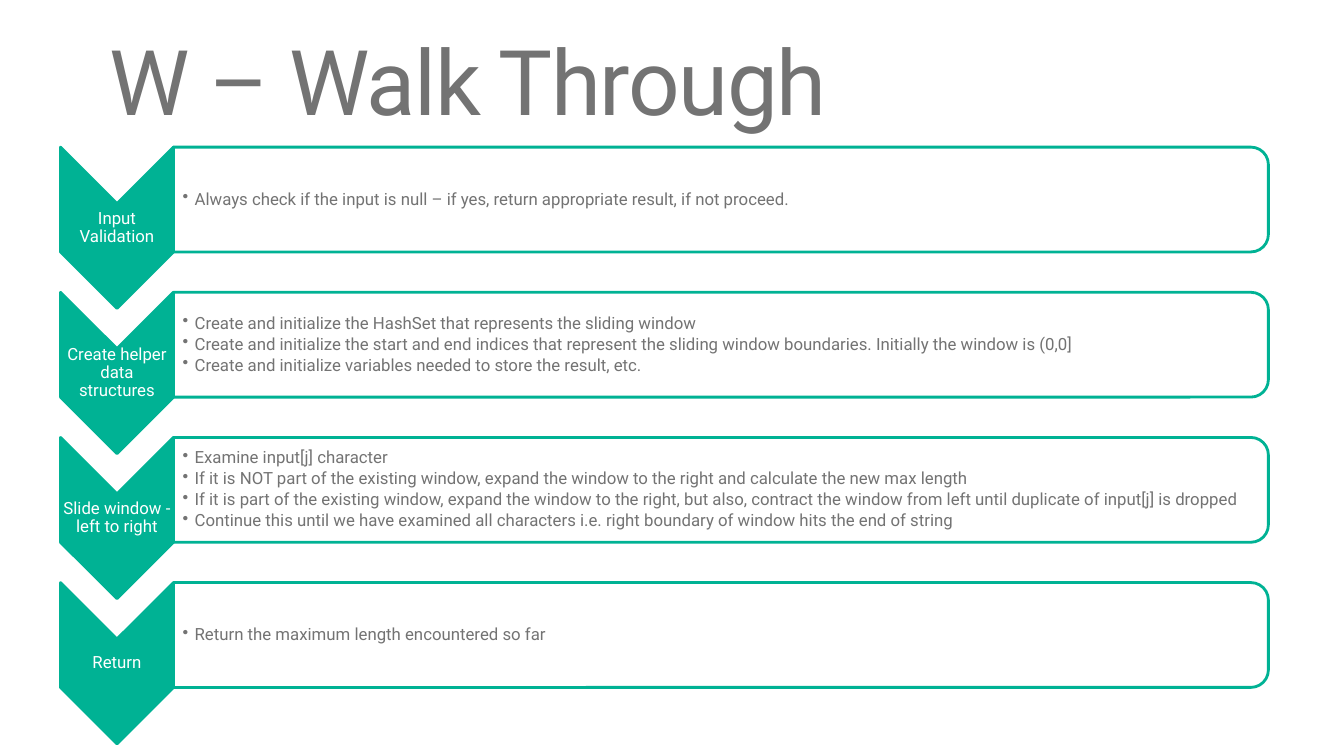
import lxml.etree
import pptx
import pptx.dml.color
import pptx.enum.shapes
import pptx.enum.text
import pptx.oxml.ns
import pptx.util

inch, pt = pptx.util.Inches, pptx.util.Pt
shapes = pptx.enum.shapes.MSO_SHAPE
align, anchor = pptx.enum.text.PP_ALIGN, pptx.enum.text.MSO_ANCHOR
qn = pptx.oxml.ns.qn
rgb = pptx.dml.color.RGBColor.from_string

theme = {
    "font": "Roboto",
    "green": rgb("00B294"),
    "grey": rgb("737373"),
    "white": rgb("FFFFFF"),
    "title": pt(64.7),
    "text": pt(12),
    "line": pt(2),
}

steps = [
    ("Input Validation", [
        "Always check if the input is null – if yes, return appropriate result, if not proceed.",
    ]),
    ("Create helper data structures", [
        "Create and initialize the HashSet that represents the sliding window",
        "Create and initialize the start and end indices that represent the sliding window "
        "boundaries. Initially the window is (0,0]",
        "Create and initialize variables needed to store the result, etc.",
    ]),
    ("Slide window - left to right", [
        "Examine input[j] character",
        "If it is NOT part of the existing window, expand the window to the right "
        "and calculate the new max length",
        "If it is part of the existing window, expand the window to the right, but also, "
        "contract the window from left until duplicate of input[j] is dropped",
        "Continue this until we have examined all characters i.e. right boundary of window "
        "hits the end of string",
    ]),
    ("Return", ["Return the maximum length encountered so far"]),
]

# Grid: a column of arrows, a column of panels, one row per step
left, top, pitch = inch(0.6), inch(1.46), inch(1.44)
arrow_w, arrow_h = inch(1.12), inch(1.6)
panel_w, panel_h = inch(10.86), inch(1.04)
panel_x = left + arrow_w
label_h, list_h = inch(0.48), inch(0.94)
pad, indent = inch(0.01), inch(0.12)

deck = pptx.Presentation()
deck.slide_width, deck.slide_height = inch(13.33), inch(7.5)
slide = deck.slides.add_slide(deck.slide_layouts[5])


def add_turned(kind, x, y, width, height, fill):
    """Add a shape turned by 90 degrees that shows in the given frame."""
    shift = (width - height) // 2
    shape = slide.shapes.add_shape(kind, x + shift, y - shift, height, width)
    shape.rotation = 90
    shape.shadow.inherit = False
    shape.fill.solid()
    shape.fill.fore_color.rgb = fill
    shape.line.color.rgb = theme["green"]
    shape.line.width = theme["line"]


def add_text(x, middle, width, height, lines, color, bullet=False):
    """Add a text box centred on the height called middle."""
    box = slide.shapes.add_textbox(x, middle - height // 2, width, height)
    frame = box.text_frame
    frame.word_wrap = True
    frame.vertical_anchor = anchor.MIDDLE
    frame.margin_left = inch(0.09) if bullet else pad
    frame.margin_right = frame.margin_top = frame.margin_bottom = pad
    frame.text = "\n".join(lines)
    for para in frame.paragraphs:
        para.line_spacing = 0.9
        if bullet:
            props = para._p.get_or_add_pPr()
            props.set("marL", str(indent))
            props.set("indent", str(-indent))
            para.space_after = pt(2.1)
            lxml.etree.SubElement(props, qn("a:buChar")).set("char", "•")
        else:
            para.alignment = align.CENTER
        para.font.name = theme["font"]
        para.font.size = theme["text"]
        para.font.color.rgb = color


title = slide.shapes.title
title.left, title.top, title.width, title.height = map(inch, (0.93, 0.29, 11.5, 1.45))
frame = title.text_frame
frame.text = "W – Walk Through"
frame.auto_size = pptx.enum.text.MSO_AUTO_SIZE.NONE
frame.vertical_anchor = anchor.TOP
frame.margin_left = frame.margin_right = inch(0.16)
frame.margin_top = frame.margin_bottom = inch(0.08)
para = frame.paragraphs[0]
para.alignment = align.LEFT
para.line_spacing = 0.9
para.font.name = theme["font"]
para.font.size = theme["title"]
para.font.color.rgb = theme["grey"]
para.runs[0]._r.get_or_add_rPr().set("spc", "-100")

for row, (label, points) in enumerate(steps):
    y = top + row * pitch
    add_turned(shapes.CHEVRON, left, y, arrow_w, arrow_h, theme["green"])
    add_text(left, y + arrow_h // 2, arrow_w, label_h, [label], theme["white"])
    add_turned(shapes.ROUND_2_SAME_RECTANGLE, panel_x, y, panel_w, panel_h, theme["white"])
    add_text(panel_x, y + panel_h // 2, panel_w - inch(0.05), list_h,
             points, theme["grey"], bullet=True)

deck.save("out.pptx")
